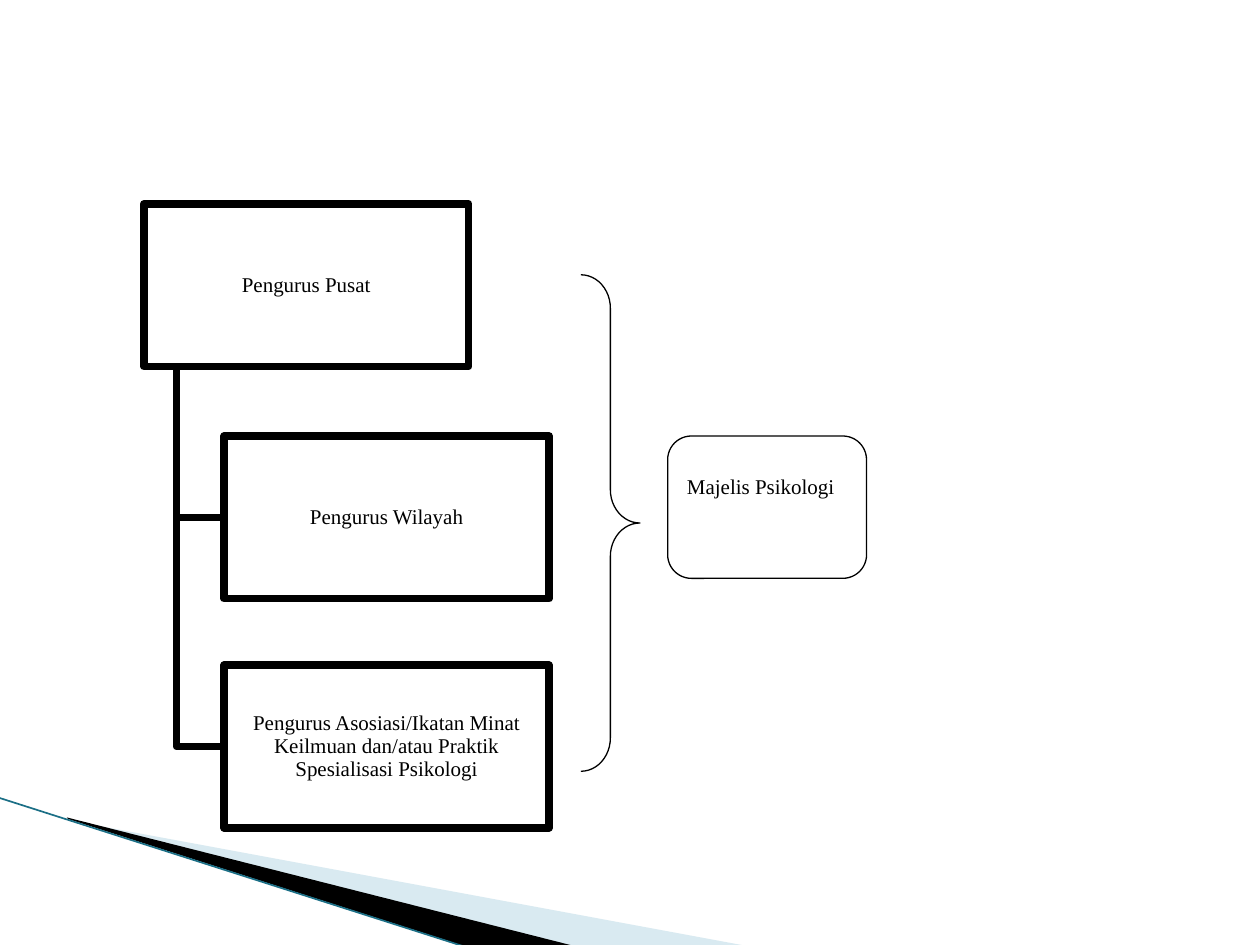
from lxml import etree
from pptx import Presentation
from pptx import util as u
from pptx.dml.color import RGBColor
from pptx.enum import shapes, text
from pptx.oxml import ns

BLACK, WHITE = "000000", "FFFFFF"
SWOOSH, EDGE = "A0CBDC", "1B6F86"
FONT = "Times New Roman"
HEAVY, THIN = 4.33, 0.75
BOX_WIDTH, BOX_HEIGHT = 6.55, 3.28
TRUNK_X = 3.56


def colour(value):
    return RGBColor.from_string(value)


def paint(shape, fill=None, line=None, weight=THIN, opacity=None):
    shape.shadow.inherit = False
    if fill:
        shape.fill.solid()
        shape.fill.fore_color.rgb = colour(fill)
        if opacity:
            tint = shape.fill._xPr.find(".//" + ns.qn("a:srgbClr"))
            etree.SubElement(tint, ns.qn("a:alpha"), val=str(opacity * 1000))
    else:
        shape.fill.background()
    if line:
        shape.line.color.rgb = colour(line)
        shape.line.width = u.Pt(weight)
    else:
        shape.line.fill.background()


def add_shape(page, kind, left, top, width, height, **look):
    shape = page.shapes.add_shape(
        kind, u.Cm(left), u.Cm(top), u.Cm(width), u.Cm(height))
    paint(shape, **look)
    return shape


def add_outline(page, points, close, **look):
    corners = [(u.Cm(x), u.Cm(y)) for x, y in points]
    builder = page.shapes.build_freeform(*corners[0])
    builder.add_line_segments(corners[1:], close=close)
    paint(builder.convert_to_shape(), **look)


def add_line(page, start, end, line, weight):
    edge = page.shapes.add_connector(
        shapes.MSO_CONNECTOR.STRAIGHT, *map(u.Cm, start + end))
    edge.line.color.rgb = colour(line)
    edge.line.width = u.Pt(weight)
    etree.SubElement(edge._element.spPr, ns.qn("a:effectLst"))


def write(shape, words, align, anchor, spacing=1.0):
    frame = shape.text_frame
    frame.word_wrap = True
    frame.vertical_anchor = anchor
    para = frame.paragraphs[0]
    para.alignment = align
    para.line_spacing = spacing
    span = para.add_run()
    span.text = words
    span.font.name = FONT
    span.font.size = u.Pt(12)
    span.font.color.rgb = colour(BLACK)


def add_unit(page, left, top, words):
    box = add_shape(page, shapes.MSO_SHAPE.RECTANGLE, left, top,
                    BOX_WIDTH, BOX_HEIGHT, fill=WHITE, line=BLACK, weight=HEAVY)
    frame = box.text_frame
    frame.margin_left = frame.margin_right = u.Cm(0.03)
    frame.margin_top = frame.margin_bottom = u.Cm(0.03)
    write(box, words, text.PP_ALIGN.CENTER, text.MSO_ANCHOR.MIDDLE, 0.9)


def add_decoration(page):
    add_outline(page, [(1.4, 16.54), (15.11, 19.08), (11.58, 19.08), (1.4, 16.51)],
                True, fill=SWOOSH, opacity=40)
    add_outline(page, [(1.35, 16.48), (11.61, 19.08), (9.45, 19.1), (1.37, 16.51)],
                True, fill=BLACK)
    add_line(page, (-0.03, 16.08), (9.42, 19.1), EDGE, 0.95)


def add_hierarchy(page):
    root_left, root_top, child_left = 2.9, 4.11, 4.52
    children = [
        (13.41, "Pengurus Asosiasi/Ikatan Minat Keilmuan dan/atau Praktik "
                "Spesialisasi Psikologi"),
        (8.79, "Pengurus Wilayah"),
    ]
    # Elbows lie behind the boxes
    for top, _ in children:
        middle = top + BOX_HEIGHT / 2
        add_outline(page, [(TRUNK_X, root_top + BOX_HEIGHT), (TRUNK_X, middle),
                           (child_left, middle)], False, line=BLACK, weight=HEAVY)
    add_unit(page, root_left, root_top, "Pengurus Pusat")
    for top, words in reversed(children):
        add_unit(page, child_left, top, words)


def add_council(page):
    brace = add_shape(page, shapes.MSO_SHAPE.RIGHT_BRACE,
                      11.71, 5.54, 1.19, 10.01, line=BLACK)
    brace.adjustments[0] = 0.565
    brace.adjustments[1] = 0.5
    council = add_shape(page, shapes.MSO_SHAPE.ROUNDED_RECTANGLE,
                        13.46, 8.79, 4.01, 2.87, fill=WHITE, line=BLACK)
    council.text_frame.margin_top = u.Cm(0.62)
    write(council, "Majelis Psikologi", text.PP_ALIGN.LEFT, text.MSO_ANCHOR.TOP)


def main():
    deck = Presentation()
    deck.slide_width, deck.slide_height = u.Cm(25.4), u.Cm(19.05)
    page = deck.slides.add_slide(deck.slide_layouts[6])
    page.background.fill.solid()
    page.background.fill.fore_color.rgb = colour(WHITE)
    add_decoration(page)
    add_hierarchy(page)
    add_council(page)
    deck.save("out.pptx")


main()
